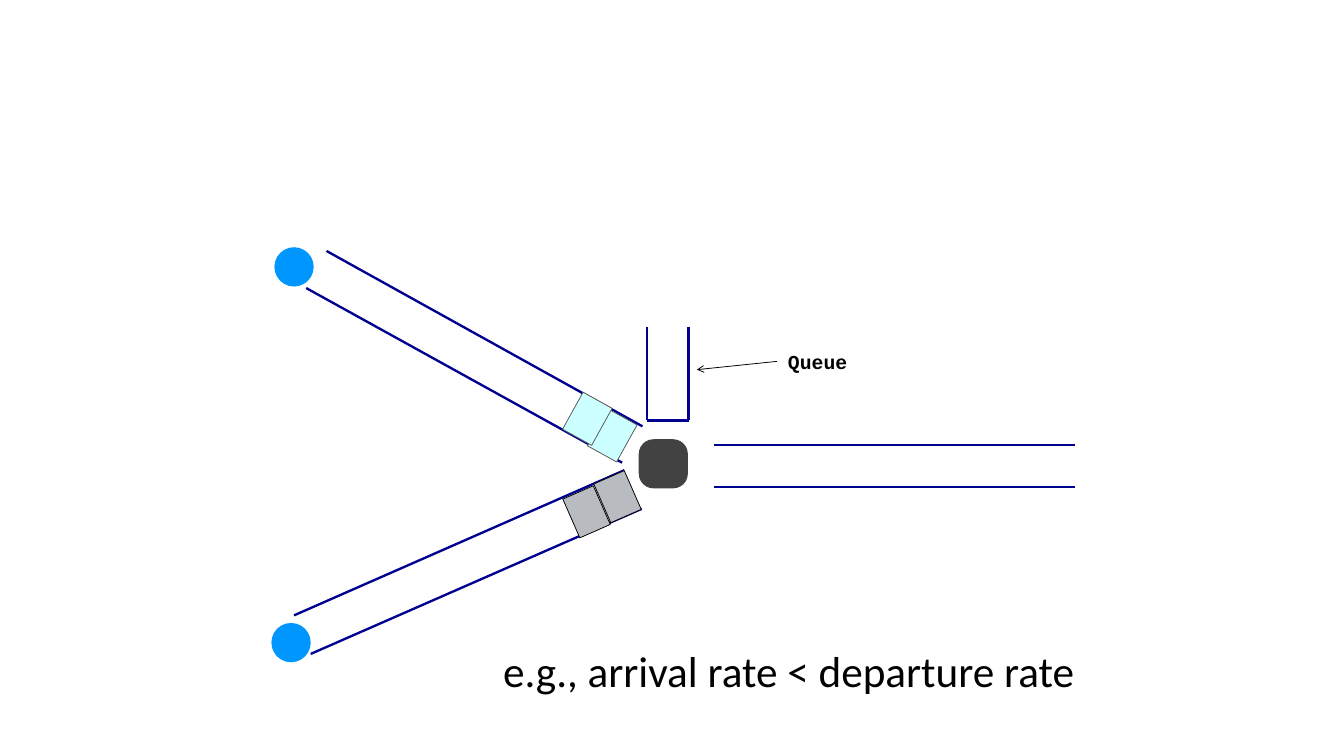
from dataclasses import dataclass

from lxml import etree
from pptx import Presentation
from pptx import util as u
from pptx.dml.color import RGBColor
from pptx.enum import shapes, text
from pptx.oxml import ns

SCALE = 9144


@dataclass(frozen=True)
class Theme:
    lane: str = "000090"
    ink: str = "000000"
    edge: str = "595959"
    cyan: str = "CCFFFF"
    gray: str = "B8BCC1"
    host: str = "0096FF"
    router: str = "424242"
    thick: float = 2.25
    thin: float = 0.75
    body: str = "Calibri"
    mono: str = "Courier New"
    large: float = 41.2
    small: float = 18.8


T = Theme()


def px(*vals):
    return [u.Emu(v * SCALE) for v in vals]


def apply(obj, **vals):
    for key, val in vals.items():
        setattr(obj, key, val)


def add_line(slide, start, end, color=T.lane, width=T.thick, arrow=False):
    line = slide.shapes.add_connector(
        shapes.MSO_CONNECTOR.STRAIGHT, *px(*start, *end))
    line.line.color.rgb = RGBColor.from_string(color)
    line.line.width = u.Pt(width)
    if arrow:
        etree.SubElement(line.line._get_or_add_ln(), ns.qn("a:tailEnd"), type="arrow")
    etree.SubElement(line._element.spPr, ns.qn("a:effectLst"))


def add_shape(slide, kind, box, fill, edge=None, turn=0):
    shape = slide.shapes.add_shape(kind, *px(*box))
    shape.shadow.inherit = False
    shape.rotation = turn
    shape.fill.solid()
    shape.fill.fore_color.rgb = RGBColor.from_string(fill)
    if edge:
        shape.line.color.rgb = RGBColor.from_string(edge)
        shape.line.width = u.Pt(T.thin)
    else:
        shape.line.fill.background()
    return shape


def add_lane(slide, lines, spots=(), fill=None, edge=None, turn=0):
    for start, end in lines:
        add_line(slide, start, end)
    for spot in spots:
        add_shape(slide, shapes.MSO_SHAPE.RECTANGLE, (*spot, 44, 56), fill, edge, turn)


def add_label(slide, box, words, align, wrap, **font):
    label = slide.shapes.add_textbox(*px(*box))
    side, top = px(13, 7)
    apply(label.text_frame, word_wrap=wrap,
          auto_size=text.MSO_AUTO_SIZE.SHAPE_TO_FIT_TEXT,
          margin_left=side, margin_right=side, margin_top=top, margin_bottom=top)
    para = label.text_frame.paragraphs[0]
    para.alignment = align
    run = para.add_run()
    run.text = words
    apply(run.font, **font)
    run.font.color.rgb = RGBColor.from_string(T.ink)


def main():
    deck = Presentation()
    deck.slide_width, deck.slide_height = px(1778, 1000)
    slide = deck.slides.add_slide(deck.slide_layouts[6])

    add_lane(slide, [((432, 332), (850, 564)), ((405, 381), (823, 612))],
             [(788, 548), (755, 526)], T.cyan, T.edge, 29)
    add_lane(slide, [((389, 814), (826, 622)), ((411, 865), (849, 673))],
             [(795, 629), (754, 649)], T.gray, T.ink, 336.3)

    add_label(slide, (557, 845, 986, 83), "e.g., arrival rate < departure rate ",
              text.PP_ALIGN.CENTER, True, name=T.body, size=u.Pt(T.large))

    left, right, top, base = 856, 911, 433, 556
    add_lane(slide, [((left, top), (left, base)), ((right, top), (right, base)),
                     ((left, base), (right, base))])
    add_label(slide, (1028, 456, 106, 45), "Queue", text.PP_ALIGN.RIGHT, False,
              name=T.mono, size=u.Pt(T.small), bold=True)
    add_line(slide, (1028, 478), (922, 489), T.ink, T.thin, arrow=True)

    add_lane(slide, [((944, y), (1422, y)) for y in (589, 644)])

    for spot in ((363, 327), (359, 824)):
        add_shape(slide, shapes.MSO_SHAPE.OVAL, (*spot, 52, 52), T.host)
    router = add_shape(slide, shapes.MSO_SHAPE.ROUNDED_RECTANGLE,
                       (845, 581, 65, 65), T.router)
    router.adjustments[0] = 0.3

    deck.save("out.pptx")


if __name__ == "__main__":
    main()
